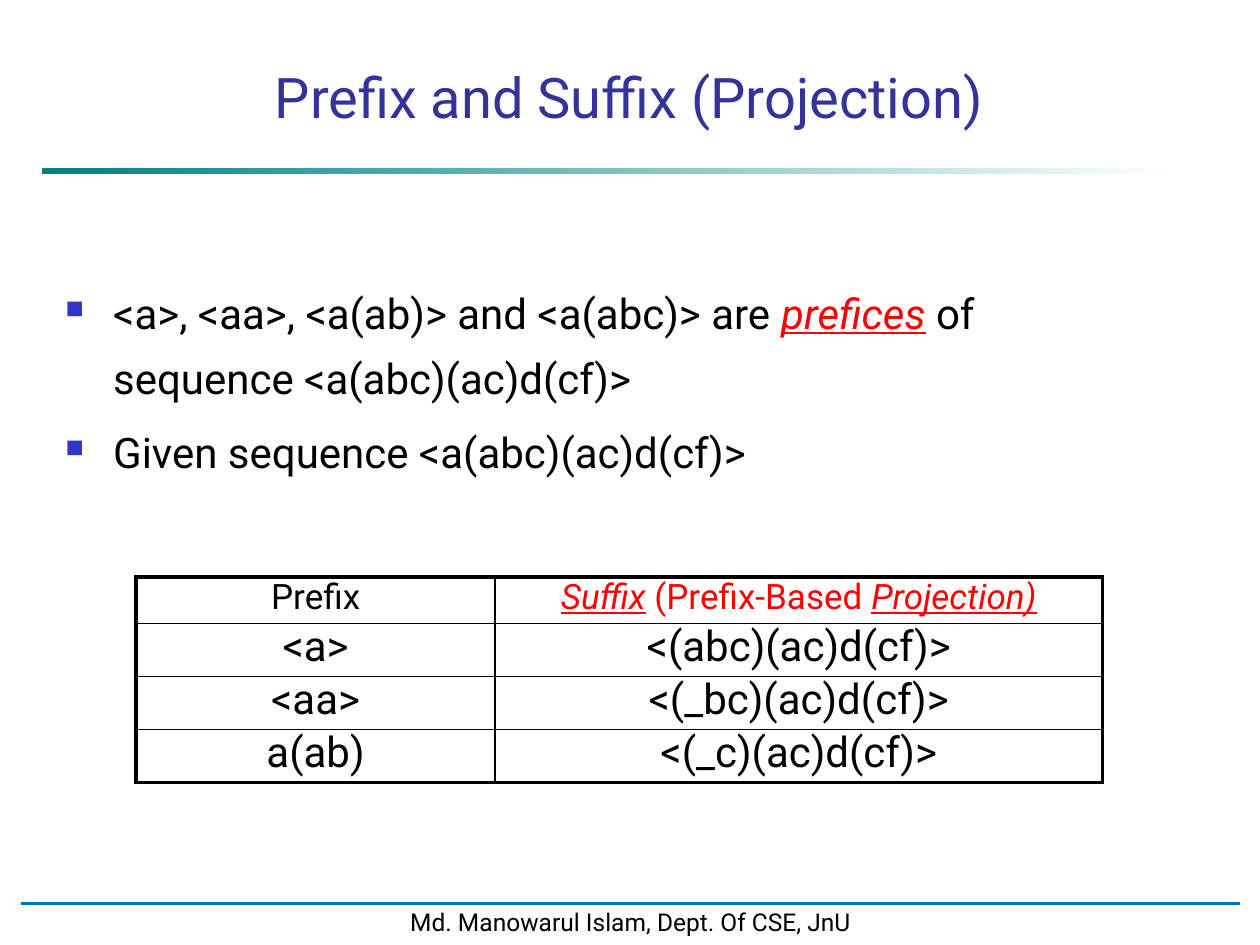
from lxml import etree
from pptx import Presentation
from pptx import util as u
from pptx.dml.color import RGBColor
from pptx.enum import shapes, text
from pptx.oxml import ns

FONT = "Roboto"
BLACK = RGBColor(0x00, 0x00, 0x00)
WHITE = RGBColor(0xFF, 0xFF, 0xFF)
RED = RGBColor(0xFF, 0x00, 0x00)
TEAL = RGBColor(0x00, 0x80, 0x80)
NAVY = RGBColor(0x33, 0x33, 0x99)
BULLET_BLUE = RGBColor(0x33, 0x33, 0xCC)
RULE_BLUE = RGBColor(0x00, 0x70, 0xC0)
THICK, THIN = 2.25, 1


def inches(*lengths):
    """Convert several numbers to lengths in inches."""
    return [u.Inches(length) for length in lengths]


def add_child(parent, tag, **attributes):
    """Append a DrawingML element to a parent element."""
    return etree.SubElement(parent, ns.qn(tag), {key: str(value) for key, value in attributes.items()})


def write_text(paragraph, runs, size, color=BLACK, align=None, line_spacing=None):
    """Fill a paragraph with runs, each a string or (string, color, emphasized)."""
    paragraph.alignment = align
    paragraph.line_spacing = line_spacing
    for item in [runs] if isinstance(runs, str) else runs:
        content, run_color, emphasized = (item, color, False) if isinstance(item, str) else item
        run = paragraph.add_run()
        run.text = content
        run.font.name = FONT
        run.font.size = u.Pt(size)
        run.font.color.rgb = run_color
        if emphasized:
            run.font.italic = True
            run.font.underline = True


def add_bullet(paragraph):
    """Give a paragraph a hanging square bullet."""
    properties = paragraph._p.get_or_add_pPr()
    properties.set("marL", str(u.Inches(0.38)))
    properties.set("indent", str(u.Inches(-0.38)))
    color = add_child(properties, "a:buClr")
    add_child(color, "a:srgbClr", val=BULLET_BLUE)
    add_child(properties, "a:buSzPct", val=60000)
    add_child(properties, "a:buChar", char="■")


def add_title(slide, left, top, width, height):
    """Place the centred slide title."""
    frame = slide.shapes.add_textbox(*inches(left, top, width, height)).text_frame
    frame.word_wrap = True
    frame.vertical_anchor = text.MSO_ANCHOR.BOTTOM
    write_text(frame.paragraphs[0], "Prefix and Suffix (Projection)", 32, NAVY, text.PP_ALIGN.CENTER)


def add_title_bar(slide, left, top, width, height):
    """Place the bar that fades from teal to white."""
    bar = slide.shapes.add_shape(shapes.MSO_SHAPE.RECTANGLE, *inches(left, top, width, height))
    bar.shadow.inherit = False
    bar.line.fill.background()
    bar.fill.gradient()
    bar.fill.gradient_angle = 0
    for stop, color in zip(bar.fill.gradient_stops, (TEAL, WHITE)):
        stop.color.rgb = color


def add_footer(slide, left, top, width, height):
    """Place the footer panel and the blue rule near its top."""
    panel = slide.shapes.add_shape(shapes.MSO_SHAPE.RECTANGLE, *inches(left, top, width, height))
    panel.shadow.inherit = False
    panel.fill.solid()
    panel.fill.fore_color.rgb = WHITE
    panel.line.color.rgb = WHITE
    panel.line.width = u.Pt(2)
    panel.text_frame.word_wrap = False
    write_text(panel.text_frame.paragraphs[0], "Md. Manowarul Islam, Dept. Of CSE, JnU", 14,
               align=text.PP_ALIGN.CENTER)
    rule_y = top + 0.02
    rule = slide.shapes.add_connector(shapes.MSO_CONNECTOR.STRAIGHT,
                                      *inches(left, rule_y, left + width, rule_y))
    rule.line.color.rgb = RULE_BLUE
    rule.line.width = u.Pt(1.75)
    add_child(rule._element.spPr, "a:effectLst")


def add_body(slide, left, top, width, height):
    """Place the bulleted statements."""
    frame = slide.shapes.add_textbox(*inches(left, top, width, height)).text_frame
    frame.word_wrap = True
    statements = [
        ["<a>, <aa>, <a(ab)> and <a(abc)> are ", ("prefices", RED, True),
         " of sequence <a(abc)(ac)d(cf)>"],
        "Given sequence <a(abc)(ac)d(cf)>",
    ]
    for index, statement in enumerate(statements):
        paragraph = frame.add_paragraph() if index else frame.paragraphs[0]
        add_bullet(paragraph)
        write_text(paragraph, statement, 24, line_spacing=1.3)
        if index:
            paragraph.space_before = u.Pt(4.8)


def set_borders(cell, **widths):
    """Draw black cell borders, given as side letter and width in points."""
    properties = cell._tc.get_or_add_tcPr()
    for side, width in widths.items():
        line = add_child(properties, "a:ln" + side, w=u.Pt(width))
        add_child(add_child(line, "a:solidFill"), "a:srgbClr", val=BLACK)


def add_projection_table(slide, left, top, width, height):
    """Place the table of prefixes and their suffixes."""
    rows = [
        ("Prefix", [("Suffix", RED, True), (" (Prefix-Based ", RED, False), ("Projection)", RED, True)]),
        ("<a>", "<(abc)(ac)d(cf)>"),
        ("<aa>", "<(_bc)(ac)d(cf)>"),
        ("a(ab)", "<(_c)(ac)d(cf)>"),
    ]
    header_height, prefix_width = 0.37, 2.85
    last_row, last_column = len(rows) - 1, 1
    table = slide.shapes.add_table(len(rows), 2, *inches(left, top, width, height)).table
    table.columns[0].width, table.columns[1].width = inches(prefix_width, width - prefix_width)
    for r, row in enumerate(rows):
        table.rows[r].height = u.Inches((height - header_height) / last_row if r else header_height)
        for c, content in enumerate(row):
            cell = table.cell(r, c)
            set_borders(cell, L=THIN if c else THICK, R=THICK if c == last_column else THIN,
                        T=THIN if r else THICK, B=THICK if r == last_row else THIN)
            cell.fill.background()
            write_text(cell.text_frame.paragraphs[0], content, 24 if r else 20,
                       align=text.PP_ALIGN.CENTER, line_spacing=0.8)


def main():
    """Build and save the slide."""
    presentation = Presentation()
    presentation.slide_width, presentation.slide_height = inches(10, 7.5)
    slide = presentation.slides.add_slide(presentation.slide_layouts[6])
    add_title_bar(slide, 0.33, 1.33, 9, 0.05)
    add_footer(slide, 0.17, 7.15, 9.67, 0.33)
    add_title(slide, 1.16, 0.35, 7.67, 0.73)
    add_body(slide, 0.42, 2.11, 8.88, 2.08)
    add_projection_table(slide, 1.08, 4.58, 7.67, 1.63)
    presentation.save("out.pptx")


if __name__ == "__main__":
    main()
